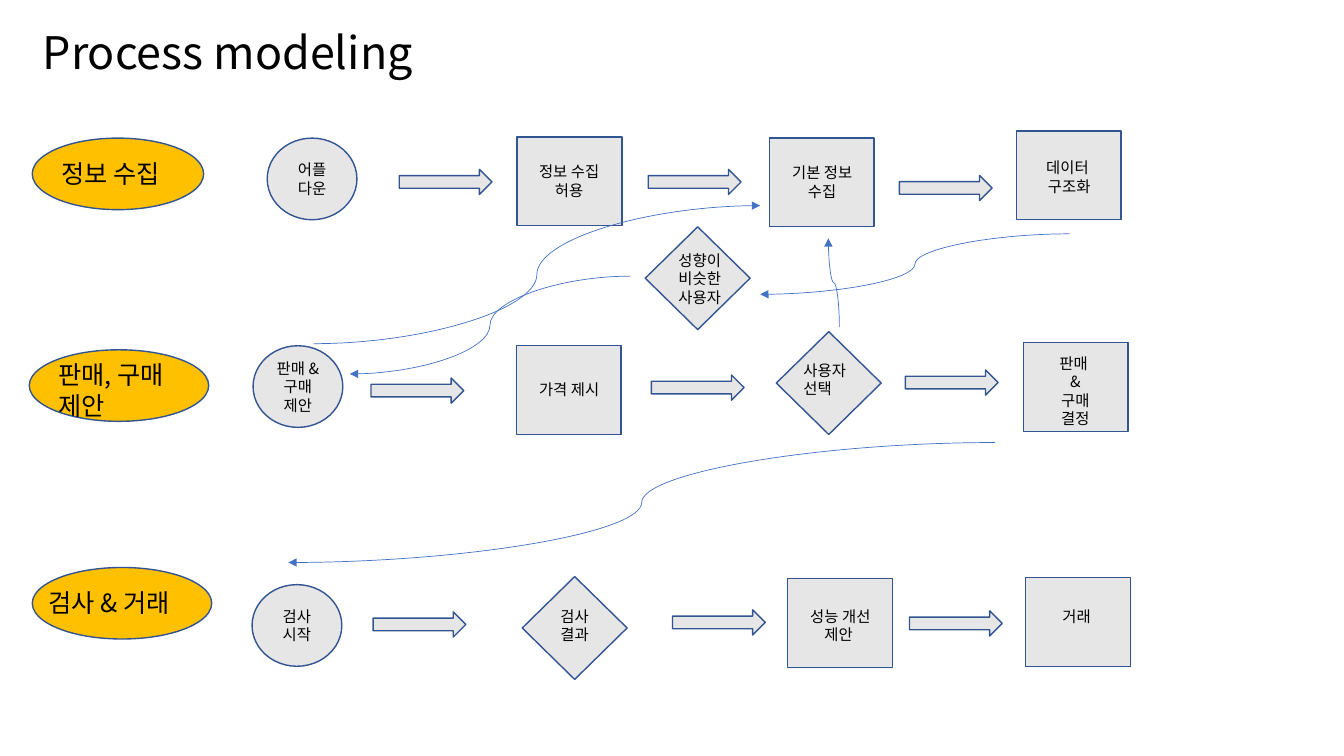
"""Build the process modeling slide: three stages, their steps and the flows between them."""
from pptx import Presentation
from pptx.dml.color import RGBColor
from pptx.enum import shapes, text
from pptx.oxml import parse_xml
from pptx.oxml.ns import nsdecls, qn
from pptx.util import Inches, Pt

FONT = "Noto Sans CJK KR"
BLACK, GOLD, GREY, NAVY, BLUE = "000000", "FFC000", "E7E6E6", "325491", "4472C4"
LEFT, CENTER = text.PP_ALIGN.LEFT, text.PP_ALIGN.CENTER
KIND = shapes.MSO_SHAPE
SIZES = {KIND.OVAL: (0.89, 0.81), KIND.RECTANGLE: (1.04, 0.88), KIND.DIAMOND: (1.04, 1.02)}

TITLE = "Process modeling"
STAGES = [  # ellipse box, text box, wording
    ((0.32, 1.37, 1.7, 0.71), (0.51, 1.52, 1.32, 0.4), "정보 수집"),
    ((0.29, 3.47, 1.78, 0.71), (0.48, 3.52, 1.4, 0.71), "판매, 구매 제안"),
    ((0.32, 5.63, 1.78, 0.71), (0.38, 5.78, 1.65, 0.4), "검사 & 거래"),
]
STARTS = [
    (2.65, 1.37, ["어플 다운"]),
    (2.51, 3.43, ["판매 & ", "구매 제안"]),
    (2.5, 5.8, ["검사 시작"]),
]
STEPS = [  # kind, left, top, text left, text top, text height, wording
    (KIND.RECTANGLE, 5.13, 1.36, 5.19, 1.56, 0.47, ["정보 수집 허용"]),
    (KIND.DIAMOND, 6.4, 2.25, 6.63, 2.44, 0.66, ["성향이 ", "비슷한 ", "사용자"]),
    (KIND.RECTANGLE, 7.63, 1.37, 7.7, 1.57, 0.47, ["기본 정보 수집"]),
    (KIND.RECTANGLE, 10.08, 1.3, 10.15, 1.52, 0.47, ["데이터 ", "구조화"]),
    (KIND.RECTANGLE, 5.12, 3.43, 5.19, 3.72, 0.29, ["가격 제시"]),
    (KIND.DIAMOND, 7.7, 3.29, 7.87, 3.53, 0.47, ["사용자 ", "선택 "]),
    (KIND.RECTANGLE, 10.15, 3.4, 10.21, 3.46, 0.84, ["판매 ", "&", "구매", "결정"]),
    (KIND.DIAMOND, 5.18, 5.72, 5.46, 5.97, 0.47, ["검사 ", "결과 "]),
    (KIND.RECTANGLE, 7.81, 5.74, 7.88, 5.97, 0.47, ["성능 개선", "제안 "]),
    (KIND.RECTANGLE, 10.17, 5.73, 10.24, 5.97, 0.29, ["거래 "]),
]
ARROWS = [
    (3.96, 1.68), (6.43, 1.68), (8.92, 1.74),
    (3.68, 3.75), (6.46, 3.72), (8.98, 3.67),
    (3.7, 6.07), (6.67, 6.05), (9.02, 6.06),
]
FLOWS = [  # start x, start y, end x, end y, rotation in degrees
    (10.61, 2.32, 7.54, 2.92, 0),
    (6.25, 2.74, 3.47, 3.71, 0),
    (7.83, 2.86, 8.71, 2.75, 270),
    (3.11, 3.41, 7.54, 2.04, 0),
    (9.87, 4.39, 2.86, 5.58, 0),
]


def color(hex_string):
    """Return the colour for a hex string."""
    return RGBColor.from_string(hex_string)


def write(frame, lines, size, align):
    """Write one paragraph per line into a text frame."""
    frame.word_wrap = True
    for index, line in enumerate(lines):
        paragraph = frame.paragraphs[0] if index == 0 else frame.add_paragraph()
        paragraph.alignment = align
        run = paragraph.add_run()
        run.text = line
        run.font.size = Pt(size)
        run.font.color.rgb = color(BLACK)
        run.font.name = FONT
        run.font._element.append(parse_xml(f'<a:ea {nsdecls("a")} typeface="{FONT}"/>'))


def add_node(kind, box, fill):
    """Add an outlined shape."""
    node = slide.shapes.add_shape(kind, *map(Inches, box))
    node.shadow.inherit = False
    node.fill.solid()
    node.fill.fore_color.rgb = color(fill)
    node.line.color.rgb = color(NAVY)
    node.line.width = Pt(1)
    return node


def add_label(box, lines, size, align):
    """Add a text box that grows with its text."""
    frame = slide.shapes.add_textbox(*map(Inches, box)).text_frame
    write(frame, lines, size, align)
    frame.auto_size = text.MSO_AUTO_SIZE.SHAPE_TO_FIT_TEXT


def add_flow(x1, y1, x2, y2, turn):
    """Add a curved connector with an arrowhead at its end."""
    flow = slide.shapes.add_connector(
        shapes.MSO_CONNECTOR.CURVE, *map(Inches, (x1, y1, x2, y2)))
    flow.line.color.rgb = color(BLUE)
    flow.line.width = Pt(0.5)
    flow.line._get_or_add_ln().append(
        parse_xml(f'<a:tailEnd {nsdecls("a")} type="triangle"/>'))
    properties = flow._element.spPr
    properties.append(parse_xml(f'<a:effectLst {nsdecls("a")}/>'))
    if turn:
        properties.find(qn("a:xfrm")).set("rot", str(turn * 60000))


deck = Presentation()
deck.slide_width, deck.slide_height = Inches(13.33), Inches(7.5)
slide = deck.slides.add_slide(deck.slide_layouts[5])

heading = slide.shapes.title
heading.left, heading.top, heading.width, heading.height = map(
    Inches, (-0.2, -0.07, 4.92, 0.91))
write(heading.text_frame, [TITLE], 32, CENTER)
heading.text_frame.auto_size = text.MSO_AUTO_SIZE.NONE
heading.text_frame.vertical_anchor = text.MSO_ANCHOR.BOTTOM
heading.text_frame.paragraphs[0].line_spacing = 0.9

for oval, label, wording in STAGES:
    add_node(KIND.OVAL, oval, GOLD)
    add_label(label, [wording], 18, LEFT)

for left, top, lines in STARTS:
    start = add_node(KIND.OVAL, (left, top, *SIZES[KIND.OVAL]), GREY)
    write(start.text_frame, lines, 11, CENTER)
    start.text_frame.vertical_anchor = text.MSO_ANCHOR.MIDDLE

for kind, left, top, text_left, text_top, text_height, lines in STEPS:
    add_node(kind, (left, top, *SIZES[kind]), GREY)
    align = LEFT if kind == KIND.DIAMOND else CENTER
    add_label((text_left, text_top, 0.91, text_height), lines, 11, align)

for left, top in ARROWS:
    add_node(KIND.RIGHT_ARROW, (left, top, 0.92, 0.25), GREY)

for route in FLOWS:
    add_flow(*route)

deck.save("out.pptx")
